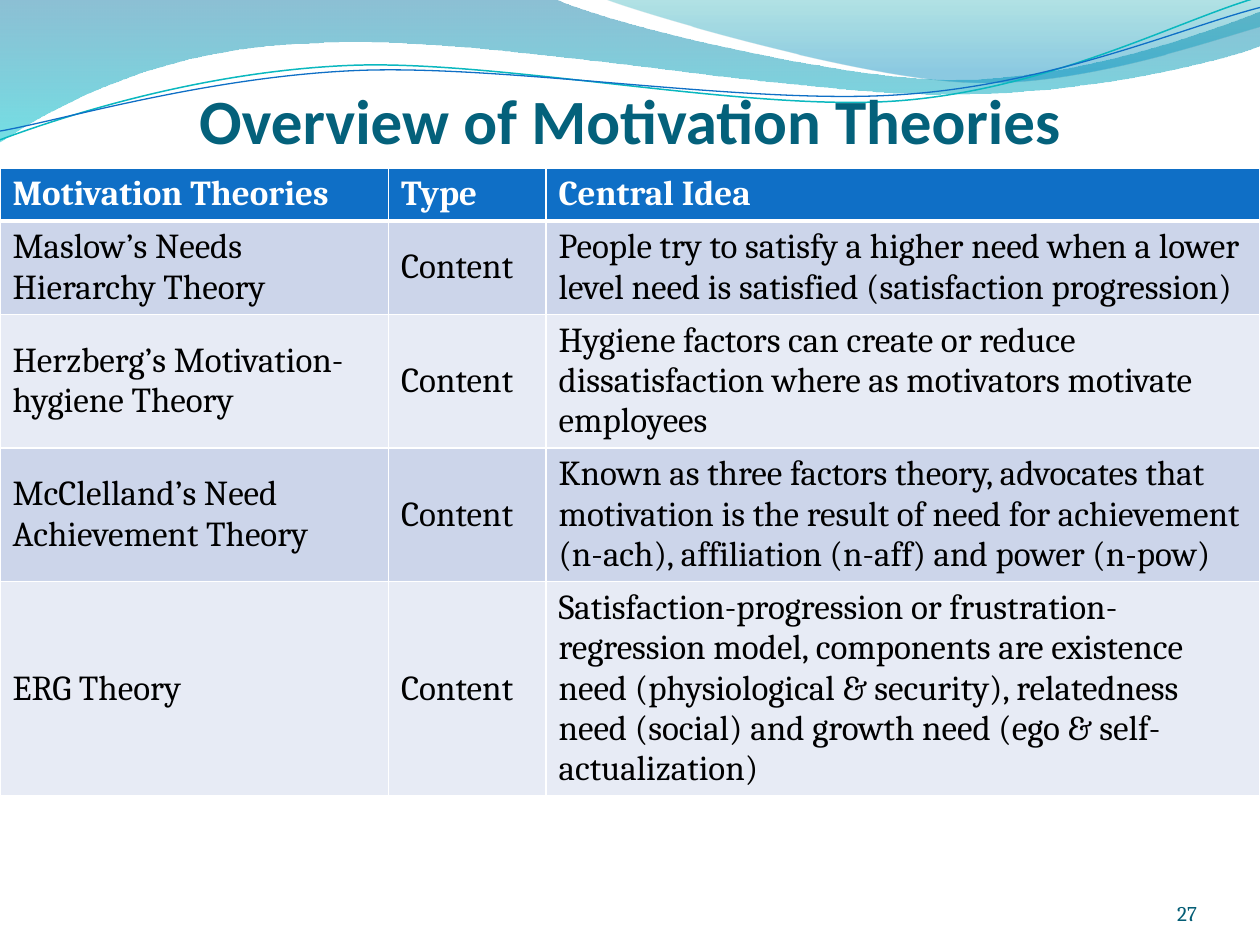
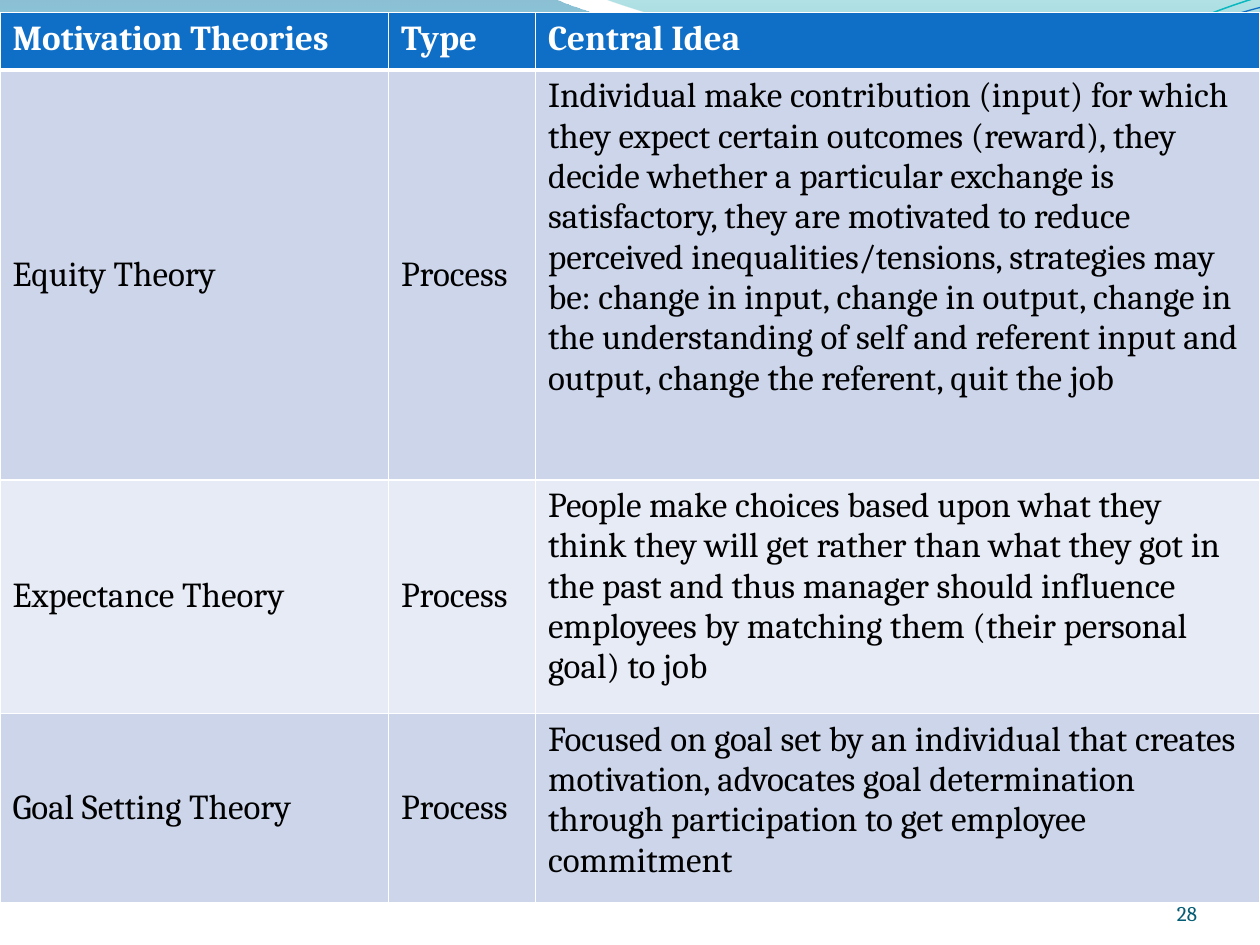
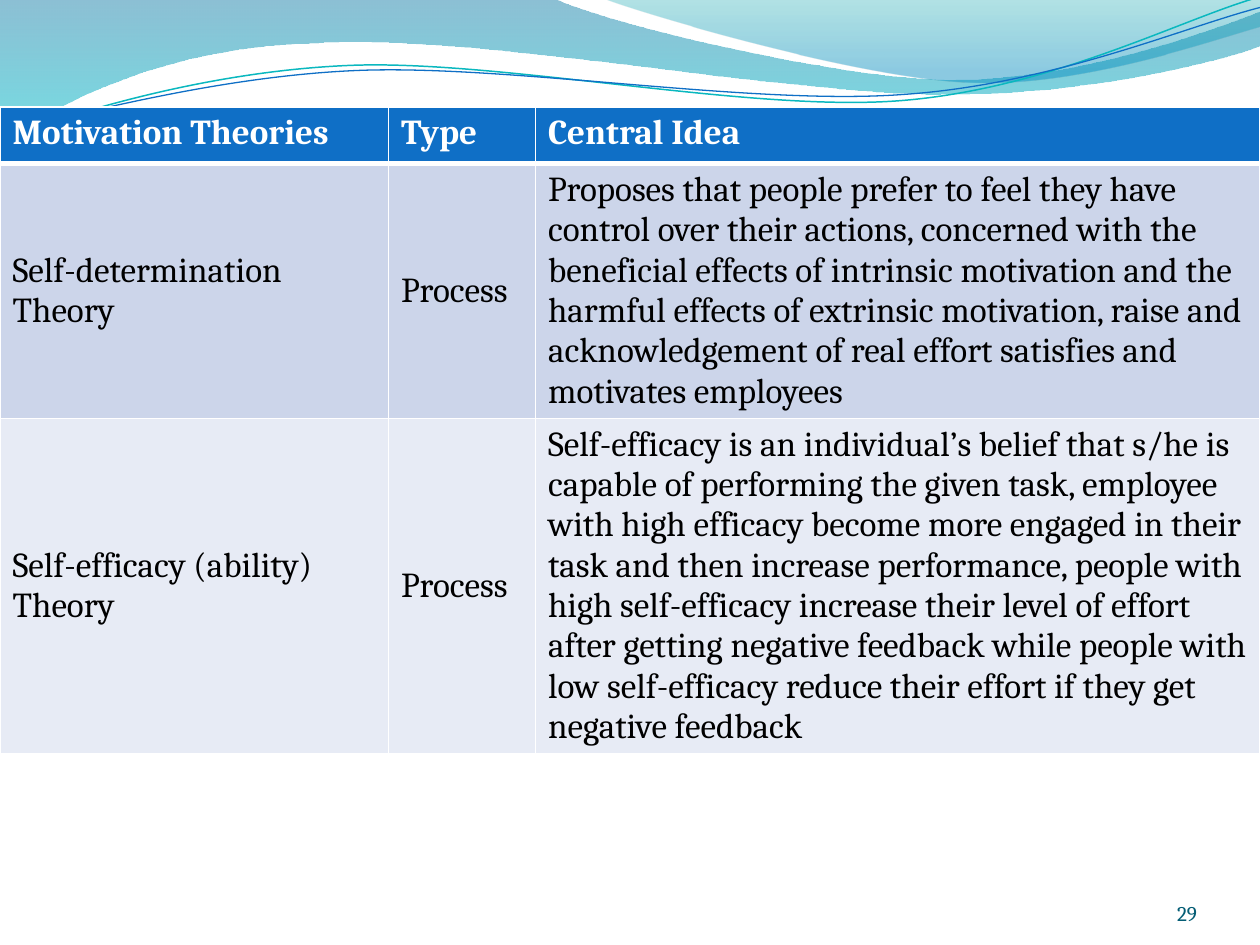
import dataclasses
import math

import lxml.etree
import pptx
import pptx.dml.color
import pptx.enum.text
import pptx.oxml.ns
import pptx.util

Pt = pptx.util.Pt
Rgb = pptx.dml.color.RGBColor.from_string
Align = pptx.enum.text.PP_ALIGN
Anchor = pptx.enum.text.MSO_ANCHOR
qn = pptx.oxml.ns.qn
Sub = lxml.etree.SubElement


@dataclasses.dataclass(frozen=True)
class Theme:
    head: str = "Calibri"
    body: str = "Cambria"
    title: str = "04617B"
    number: str = "045D75"
    blue: str = "0F6FC6"
    teal: str = "0AB8BF"
    white: str = "FFFFFF"
    black: str = "000000"
    bands: tuple = ("CCD5EA", "E7EBF5")
    # Gradient stops: position, colour, opacity in percent
    wave: tuple = ((0, "0074A1", 45), (1, "00C6CF", 55))
    bay: tuple = ((0, "00A1A9", 30), (0.8, "008BBF", 45))
    big: int = 36
    text: int = 20
    small: int = 12
    rule: int = 1
    thick: int = 3


# Outlines in points: a pair is a corner, six numbers are a Bezier curve.
WAVE = [
    (0, 0), (316.8, -0.7),
    (342.7, 12.2, 478.1, 45.4, 545.8, 45.4),
    (614.2, 45.4, 689.8, 18.7, 720, 6.5),
    (720.7, 25.9),
    (707.8, 31.7, 626.4, 54.7, 537.1, 54),
    (447.8, 54, 275, 20.2, 185, 24.5),
    (92.9, 25.9, 33.1, 59.8, -0.7, 81.4),
    (0, 0),
]
BAY = [
    (344.9, -0.7),
    (366.5, 7.9, 491, 44.6, 553.7, 46.8),
    (616.3, 49.7, 691.9, 23, 720, 15.1),
    (720, 0), (344.9, -0.7),
]
CREST = [
    (0, 79.9),
    (34.6, 67, 113.8, 41, 199.4, 37.4),
    (284.4, 33.8, 427, 64.1, 513.4, 57.6),
    (599.8, 51.1, 675.4, 10.8, 718.6, -1.4),
]
SWELL = [
    (0, 74.9),
    (33.8, 69.1, 118.1, 43.9, 203.8, 40.3),
    (290.2, 36.7, 429.8, 60.5, 516.2, 54),
    (601.9, 48.2, 677.5, 15.1, 720, 4.3),
]
TILT = -2.7


def level(parts, pivot):
    """Turn an outline back by the tilt, so that its shape can be rotated."""
    cos, sin = math.cos(math.radians(TILT)), math.sin(math.radians(TILT))
    px, py = pivot
    flat = []
    for part in parts:
        pairs = zip(part[::2], part[1::2])
        flat.append(tuple(v for x, y in pairs for v in (
            px + (x - px) * cos + (y - py) * sin,
            py + (y - py) * cos - (x - px) * sin)))
    return flat


class Deck:
    def __init__(self, theme):
        self.theme = theme
        self.prs = pptx.Presentation()
        self.prs.slide_width, self.prs.slide_height = Pt(720), Pt(540)
        self.slide = None

    def page(self, number, title=None):
        layout = self.prs.slide_layouts[5 if title else 6]
        self.slide = self.prs.slides.add_slide(layout)
        if title:
            self.title(title)
        self.number(number)

    def style(self, para, size, color, font=None, bold=False):
        para.font.name = font or self.theme.body
        para.font.size = Pt(size)
        para.font.bold = bold
        para.font.color.rgb = Rgb(color)

    def label(self, shape, box, text, align, top=0):
        """Place a shape and give it one bottom-anchored paragraph."""
        shape.left, shape.top, shape.width, shape.height = map(Pt, box)
        frame = shape.text_frame
        frame.word_wrap = True
        frame.auto_size = pptx.enum.text.MSO_AUTO_SIZE.NONE
        frame.vertical_anchor = Anchor.BOTTOM
        frame.margin_left = frame.margin_right = frame.margin_bottom = 0
        frame.margin_top = Pt(top)
        frame.text = text
        para = frame.paragraphs[0]
        para.alignment = align
        return para

    def title(self, text):
        para = self.label(self.slide.shapes.title, (0, 48, 720, 42), text,
                          Align.CENTER, top=3.6)
        self.style(para, self.theme.big, self.theme.title,
                   self.theme.head, True)

    def number(self, value):
        box = (624, 500.4, 60, 28.8)
        shape = self.slide.shapes.add_textbox(*map(Pt, box))
        para = self.label(shape, box, str(value), Align.RIGHT)
        self.style(para, self.theme.small, self.theme.number)

    def free(self, parts, closed):
        """Draw all points as lines, then join each three into a curve."""
        dots = [(Pt(x), Pt(y)) for part in parts
                for x, y in zip(part[::2], part[1::2])]
        pen = self.slide.shapes.build_freeform(*dots[0], scale=1.0)
        pen.add_line_segments(dots[1:], close=closed)
        shape = pen.convert_to_shape()
        shape.shadow.inherit = False
        lines = iter(list(shape.element.iter(qn("a:lnTo"))))
        for part in parts[1:]:
            line = next(lines)
            if len(part) == 6:
                curve = lxml.etree.Element(qn("a:cubicBezTo"))
                line.addprevious(curve)
                for side in (line, next(lines), next(lines)):
                    curve.append(side[0])
                    side.getparent().remove(side)
        return shape

    def area(self, parts, stops):
        shape = self.free(parts, True)
        shape.line.fill.background()
        shape.fill.gradient()
        shape.fill.gradient_angle = 270
        for stop, (place, color, _) in zip(shape.fill.gradient_stops, stops):
            stop.position = place
            stop.color.rgb = Rgb(color)
        tints = shape.element.spPr.iter(qn("a:srgbClr"))
        for tint, (_, _, alpha) in zip(tints, stops):
            Sub(tint, qn("a:alpha"), val=str(alpha * 1000))
        return shape

    def curve(self, parts, pivot, color, width):
        shape = self.free(level(parts, pivot), False)
        shape.rotation = TILT
        shape.fill.background()
        shape.line.color.rgb = Rgb(color)
        shape.line.width = Pt(width)
        return shape

    def backdrop(self):
        """Draw the waves and move them to the master for all slides."""
        look = self.theme
        tree = self.prs.slide_master.element.cSld.spTree
        areas = [self.area(WAVE, look.wave), self.area(BAY, look.bay)]
        lines = [self.curve(CREST, (359.3, 41.4), look.teal, 0.85),
                 self.curve(SWELL, (359.6, 42.5), look.blue, 0.75)]
        group = self.slide.shapes.add_group_shape(lines)
        for spot, shape in enumerate([*areas, group], 2):
            tree.insert(spot, shape.element)

    def border(self, cell, top, bottom):
        look = self.theme
        props = cell._tc.get_or_add_tcPr()
        widths = {"L": look.rule, "R": look.rule, "T": top, "B": bottom}
        for spot, (side, width) in enumerate(widths.items()):
            line = lxml.etree.Element(qn("a:ln" + side), w=str(Pt(width)))
            fill = Sub(line, qn("a:solidFill"))
            Sub(fill, qn("a:srgbClr"), val=look.white)
            props.insert(spot, line)

    def table(self, top, height, cols, highs, rows):
        look = self.theme
        rows = [("Motivation Theories", "Type", "Central Idea"), *rows]
        frame = self.slide.shapes.add_table(
            len(rows), len(cols), 0, Pt(top), Pt(sum(cols)), Pt(height))
        grid = frame.table
        for col, width in zip(grid.columns, cols):
            col.width = Pt(width)
        for r, (row, high) in enumerate(zip(rows, highs)):
            grid.rows[r].height = Pt(high)
            head = r == 0
            for c, text in enumerate(row):
                cell = grid.cell(r, c)
                cell.text = text
                cell.fill.solid()
                cell.fill.fore_color.rgb = Rgb(
                    look.blue if head else look.bands[(r - 1) % 2])
                self.border(cell, look.thick if r == 1 else look.rule,
                            look.thick if head else look.rule)
                if not head and c < 2:
                    cell.vertical_anchor = Anchor.MIDDLE
                self.style(cell.text_frame.paragraphs[0], look.text,
                           look.white if head else look.black, bold=head)
        frame.height = Pt(height)


def main():
    deck = Deck(Theme())
    slim = (222, 84, 414)

    deck.page(27, "Overview of Motivation Theories")
    deck.backdrop()
    deck.table(96, 420, (222, 90, 408), [29.5] * 5, [
        ("Maslow’s Needs Hierarchy Theory", "Content",
         "People try to satisfy a higher need when a lower level need is "
         "satisfied (satisfaction progression)"),
        ("Herzberg’s Motivation-hygiene Theory", "Content",
         "Hygiene factors can create or reduce dissatisfaction where as "
         "motivators motivate employees"),
        ("McClelland’s Need Achievement Theory", "Content",
         "Known as three factors theory, advocates that motivation is the "
         "result of need for achievement (n-ach), affiliation (n-aff) and "
         "power (n-pow)"),
        ("ERG Theory", "Content",
         "Satisfaction-progression or frustration-regression model, "
         "components are existence need (physiological & security), "
         "relatedness need (social) and growth need (ego & "
         "self-actualization)"),
    ])

    deck.page(28)
    deck.table(7.2, 509, slim, (32.8, 234.2, 133.4, 108.2), [
        ("Equity Theory", "Process",
         "Individual make contribution (input) for which they expect certain "
         "outcomes (reward), they decide whether a particular exchange is "
         "satisfactory, they are motivated to reduce perceived "
         "inequalities/tensions, strategies may be: change in input, change "
         "in output, change in the understanding of self and referent input "
         "and output, change the referent, quit the job"),
        ("Expectance Theory", "Process",
         "People make choices based upon what they think they will get "
         "rather than what they got in the past and thus manager should "
         "influence employees by matching them (their personal goal) to job"),
        ("Goal Setting Theory", "Process",
         "Focused on goal set by an individual that creates motivation, "
         "advocates goal determination through participation to get employee "
         "commitment"),
    ])

    deck.page(29)
    deck.table(61.2, 406.8, slim, (32.4, 61.9, 133.2), [
        ("Self-determination Theory", "Process",
         "Proposes that people prefer to feel they have control over their "
         "actions, concerned with the beneficial effects of intrinsic "
         "motivation and the harmful effects of extrinsic motivation, raise "
         "and acknowledgement of real effort satisfies and motivates "
         "employees"),
        ("Self-efficacy (ability) Theory", "Process",
         "Self-efficacy is an individual’s belief that s/he is capable of "
         "performing the given task, employee with high efficacy become more "
         "engaged in their task and then increase performance, people with "
         "high self-efficacy increase their level of effort after getting "
         "negative feedback while people with low self-efficacy reduce their "
         "effort if they get negative feedback"),
    ])
    deck.prs.save("out.pptx")


if __name__ == "__main__":
    main()
